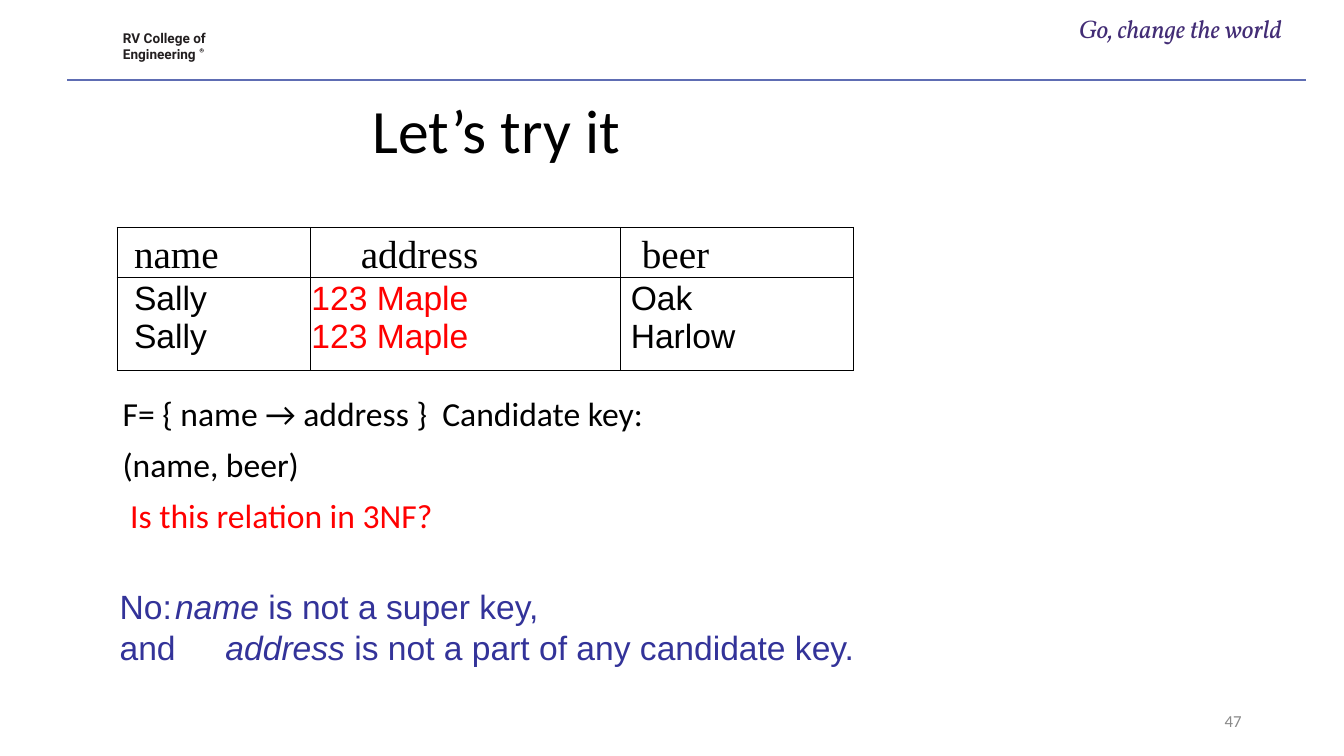
from dataclasses import dataclass

from lxml.etree import SubElement as Sub
from pptx import Presentation
from pptx.dml.color import RGBColor as Rgb
from pptx.enum.shapes import MSO_CONNECTOR as Link, MSO_SHAPE as Form
from pptx.enum.text import MSO_ANCHOR as Anchor, PP_ALIGN as Align
from pptx.oxml.ns import qn
from pptx.util import Pt

HUES = {
    "black": "000000", "ink": "231F20", "grey": "898989", "red": "FF0000",
    "rule": "5E6DB3", "plum": "422C75", "blue": "333399",
}


@dataclass
class Line:
    text: str
    size: float
    face: str = "Calibri"
    hue: str = "black"
    bold: bool = False
    slant: bool = False
    lean: str = ""  # the one phrase set in italics
    left: float = 0.7
    first: float = 0
    pitch: float | None = None  # line height in points
    ratio: float | None = None  # line height as a multiple
    above: float = 0
    tab: float = 0


@dataclass
class Box:
    left: float
    top: float
    width: float
    height: float
    lines: list[Line]
    align: Align = Align.LEFT
    anchor: Anchor = Anchor.TOP


@dataclass
class Field:
    head: str
    width: float
    inset: float  # indent of the heading
    left: float  # indent of the values
    hue: str
    rows: list[str]


def tint(name: str) -> Rgb:
    return Rgb.from_string(HUES[name])


def write(frame, lines: list[Line], align: Align = Align.LEFT) -> None:
    for at, line in enumerate(lines):
        para = frame.add_paragraph() if at else frame.paragraphs[0]
        props = para._p.get_or_add_pPr()
        props.set("marL", str(Pt(line.left)))
        props.set("indent", str(Pt(line.first)))
        if line.tab:
            stops = Sub(props, qn("a:tabLst"))
            Sub(stops, qn("a:tab"), pos=str(Pt(line.tab)), algn="l")
        para.alignment = align
        if line.pitch:
            para.line_spacing = Pt(line.pitch)
        elif line.ratio:
            para.line_spacing = line.ratio
        if line.above:
            para.space_before = Pt(line.above)
        font = para.font
        font.size, font.name = Pt(line.size), line.face
        font.bold, font.italic = line.bold, line.slant
        font.color.rgb = tint(line.hue)
        parts = line.text.partition(line.lean) if line.lean else (line.text,)
        for part in parts:
            run = para.add_run()
            run.text = part
            if part == line.lean:
                run.font.italic = True


def draw_box(slide, box: Box) -> None:
    shape = slide.shapes.add_textbox(
        Pt(box.left), Pt(box.top), Pt(box.width), Pt(box.height))
    frame = shape.text_frame
    frame.word_wrap = True
    frame.vertical_anchor = box.anchor
    frame.margin_left = frame.margin_right = 0
    frame.margin_top = frame.margin_bottom = 0
    write(frame, box.lines, box.align)


def draw_mark(slide) -> None:
    ring = slide.shapes.add_shape(
        Form.DONUT, Pt(142.6), Pt(34.6), Pt(2.9), Pt(2.9))
    ring.adjustments[0] = 0.1
    left, top = 143.4, 35.3
    pen = slide.shapes.build_freeform(Pt(left), Pt(top), scale=Pt(1))
    points = [(1, 0), (1.3, 0.4), (1, 0.8), (1.3, 1.4), (1, 1.4),
              (0.7, 0.8), (0.3, 0.8), (0.3, 1.4), (0, 1.4)]
    pen = slide.shapes.build_freeform(
        round(left * 100), round(top * 100), scale=Pt(0.01))
    pen.add_line_segments(
        [(round((left + x) * 100), round((top + y) * 100))
         for x, y in points])
    for shape in (ring, pen.convert_to_shape()):
        shape.shadow.inherit = False
        shape.fill.solid()
        shape.fill.fore_color.rgb = tint("ink")
        shape.line.fill.background()


def draw_rule(slide) -> None:
    rule = slide.shapes.add_connector(
        Link.STRAIGHT, Pt(48.2), Pt(57), Pt(933), Pt(57))
    rule.line.color.rgb = tint("rule")
    rule.line.width = Pt(1.25)
    Sub(rule._element.spPr, qn("a:effectLst"))


def frame_cell(cell) -> None:
    props = cell._tc.get_or_add_tcPr()
    for side in ("lnL", "lnR", "lnT", "lnB"):
        edge = Sub(props, qn(f"a:{side}"), w=str(Pt(0.75)))
        Sub(Sub(edge, qn("a:solidFill")), qn("a:srgbClr"), val=HUES["black"])
    cell.fill.background()
    cell.margin_left = cell.margin_right = cell.margin_bottom = 0


def draw_table(slide, fields: list[Field]) -> None:
    highs = (36, 66.2)
    table = slide.shapes.add_table(
        2, len(fields), Pt(83.6), Pt(162.3),
        Pt(sum(field.width for field in fields)), Pt(sum(highs))).table
    table.first_row = table.horz_banding = False
    for row, high in zip(table.rows, highs):
        row.height = Pt(high)
    for col, field in enumerate(fields):
        table.columns[col].width = Pt(field.width)
        head = [Line(field.head, 28, "Times New Roman",
                     left=field.inset, pitch=33)]
        body = [Line(text, 24, "Arial", field.hue, left=field.left,
                     pitch=28.8 if at == 0 else None)
                for at, text in enumerate(field.rows)]
        for row, (lines, top) in enumerate(((head, 2.2), (body, 0))):
            cell = table.cell(row, col)
            frame_cell(cell)
            cell.margin_top = Pt(top)
            write(cell.text_frame, lines)


# Header, title and page number
BOXES = [
    Box(87.1, 22.2, 65.5, 24, [
        Line("RV College of", 9.7, "Roboto", "ink", True, pitch=10.8),
        Line("Engineering", 9.7, "Roboto", "ink", True, pitch=10.8, above=0.8),
    ]),
    Box(770, 9.2, 163, 44,
        [Line("Go, change the world", 18.2, "Vollkorn", "plum", slant=True)]),
    Box(265.4, 65, 293, 54.7, [Line("Let’s try it", 44)],
        anchor=Anchor.MIDDLE),
    Box(678.2, 500.4, 208.8, 28.8,
        [Line("47", 12, hue="grey", left=0)], Align.RIGHT, Anchor.MIDDLE),
    # Question and answer
    Box(81.9, 274.3, 808.6, 206, [
        Line("F= { name → address }  Candidate key:", 24,
             first=5, ratio=1.22),
        Line("(name, beer)", 24, first=5, ratio=1.22, above=1.5),
        Line("Is this relation in 3NF?", 24, hue="red",
             left=6.1, first=5, ratio=1.22, above=1),
        Line("No:\tname is not a super key,", 24, "Arial", "blue",
             lean="name", left=7.2, first=-3.6, above=36.5, tab=72),
        Line("and\taddress is not a part of any candidate key.", 24, "Arial",
             "blue", lean="address", left=7.2, first=-3.6, tab=72),
    ]),
]

# Sample relation
FIELDS = [
    Field("name", 138.2, 12.2, 12.2, "black", ["Sally", "Sally"]),
    Field("address", 221.6, 36, 0.7, "red", ["123 Maple", "123 Maple"]),
    Field("beer", 166.3, 15.1, 7.2, "black", ["Oak", "Harlow"]),
]


def main() -> None:
    deck = Presentation()
    deck.slide_width, deck.slide_height = Pt(960), Pt(540)
    slide = deck.slides.add_slide(deck.slide_layouts[6])
    draw_mark(slide)
    draw_rule(slide)
    for box in BOXES:
        draw_box(slide, box)
    draw_table(slide, FIELDS)
    deck.save("out.pptx")


if __name__ == "__main__":
    main()
